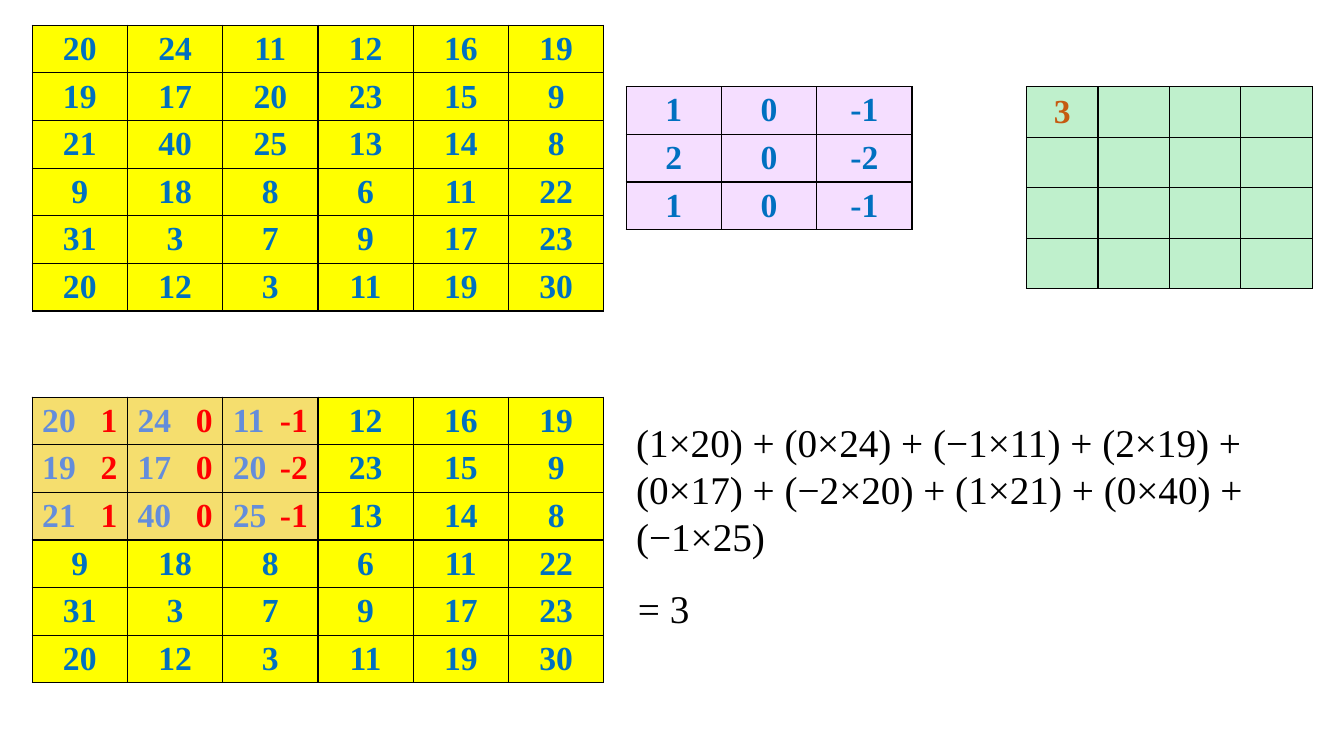
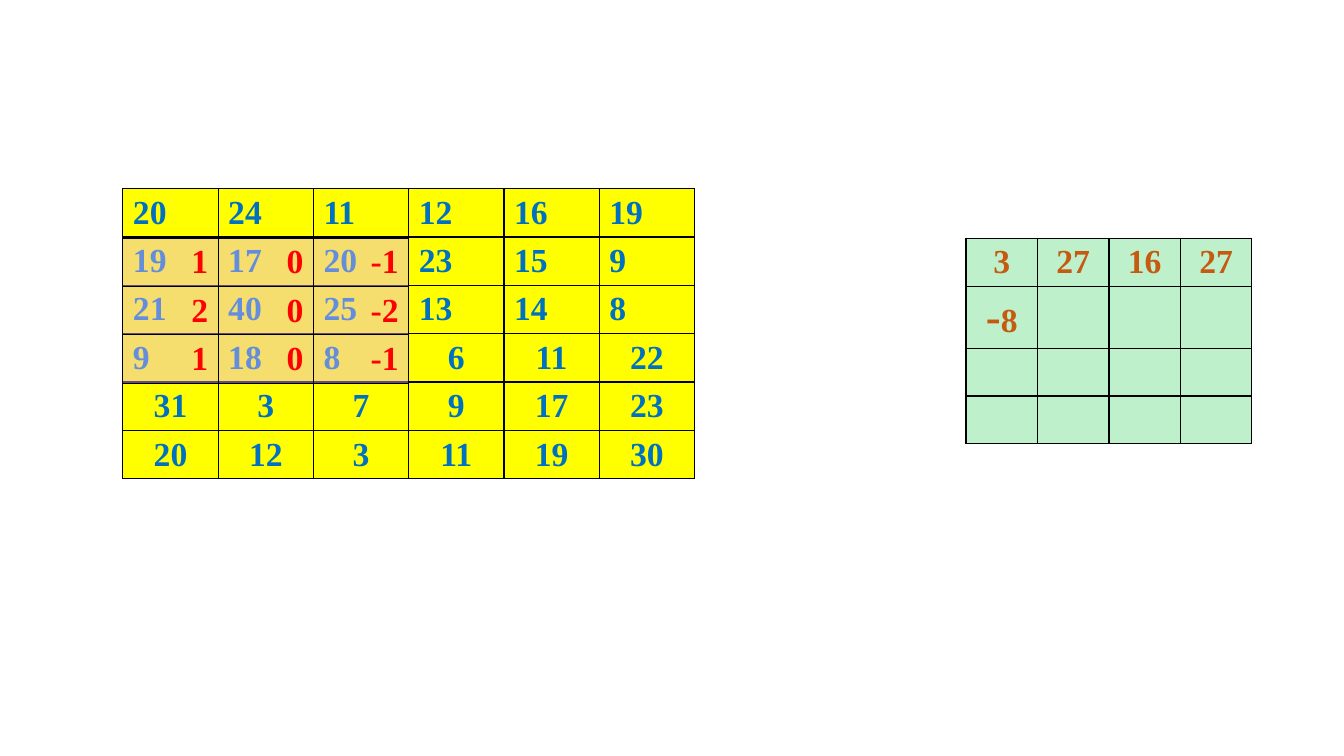
import lxml.etree
import pptx
import pptx.dml.color
import pptx.enum.text
import pptx.oxml.ns
import pptx.util

GRID = pptx.util.Cm(0.6)
ALIGN = pptx.enum.text.PP_ALIGN
COLORS = {
    "image": "FFFF00",
    "kernel": "E8B4FF",
    "result": "6BDE8A",
    "number": "0070C0",
    "weight": "FF0000",
    "answer": "C55A11",
    "line": "000000",
}
BOLD = {"name": "Times New Roman", "size": pptx.util.Pt(24), "bold": True}
PLAIN = {"name": "Times New Roman", "size": pptx.util.Pt(28), "bold": False}
CELL = {
    "margin_top": pptx.util.Inches(0.04),
    "margin_bottom": pptx.util.Inches(0.04),
    "vertical_anchor": pptx.enum.text.MSO_ANCHOR.MIDDLE,
}
IMAGE = [
    [20, 24, 11, 12, 16, 19],
    [19, 17, 20, 23, 15, 9],
    [21, 40, 25, 13, 14, 8],
    [9, 18, 8, 6, 11, 22],
    [31, 3, 7, 9, 17, 23],
    [20, 12, 3, 11, 19, 30],
]
KERNEL = [[1, 0, -1], [2, 0, -2], [1, 0, -1]]
FORMULA = ("(1×20) + (0×24) + (−1×11) + (2×19) + (0×17) + (−2×20) + "
           "(1×21) + (0×40) + (−1×25)")


def units(count):
    return round(count * GRID)


def rgb(key):
    return pptx.dml.color.RGBColor.from_string(COLORS[key])


def apply(target, values):
    for name, value in values.items():
        setattr(target, name, value)


def add_span(para, text, color, values):
    span = para.add_run()
    span.text = text
    apply(span.font, values)
    span.font.color.rgb = rgb(color)
    return span


def paint_cell(cell, fill, alpha):
    qn = pptx.oxml.ns.qn
    cell.fill.solid()
    cell.fill.fore_color.rgb = rgb(fill)
    properties = cell._tc.get_or_add_tcPr()
    if alpha < 100:
        color = properties.find(qn("a:solidFill")).find(qn("a:srgbClr"))
        lxml.etree.SubElement(color, qn("a:alpha"), val=str(alpha * 1000))
    for index, side in enumerate("LRTB"):
        line = properties.makeelement(qn("a:ln" + side), {"w": str(pptx.util.Pt(1))})
        solid = lxml.etree.SubElement(line, qn("a:solidFill"))
        lxml.etree.SubElement(solid, qn("a:srgbClr"), val=COLORS["line"])
        properties.insert(index, line)


def add_matrix(page, left, top, values, fill, color, align, alpha=43, column=4, row=2):
    rows, columns = len(values), len(values[0])
    frame = page.shapes.add_table(rows, columns, units(left), units(top),
                                  units(columns * column), units(rows * row))
    table = frame.table
    apply(table, {"first_row": False, "horz_banding": False})
    for item in table.columns:
        item.width = units(column)
    for item in table.rows:
        item.height = units(row)
    for y, line in enumerate(values):
        for x, value in enumerate(line):
            cell = table.cell(y, x)
            apply(cell, CELL)
            paint_cell(cell, fill, alpha)
            if value is not None:
                para = cell.text_frame.paragraphs[0]
                para.alignment = align(y, x)
                add_span(para, str(value), color, BOLD)
    return table


def add_image(page, left, top, align):
    add_matrix(page, left, top, IMAGE, "image", "number", align, alpha=100)


def add_window(page, left, top):
    add_matrix(page, left, top, KERNEL, "kernel", "weight", lambda y, x: ALIGN.RIGHT)


def add_result(page, left, top, found, row=2):
    values = [[found.get((y, x)) for x in range(4)] for y in range(4)]
    return add_matrix(page, left, top, values, "result", "answer", centred,
                      column=3, row=row)


def add_text(page, left, top, width, height, text):
    box = page.shapes.add_textbox(*map(units, (left, top, width, height)))
    box.text_frame.word_wrap = True
    add_span(box.text_frame.paragraphs[0], text, "line", PLAIN)


def centred(y, x):
    return ALIGN.CENTER


def left_in_window(y, x):
    return ALIGN.LEFT if y < 3 and x < 3 else ALIGN.CENTER


def left_until_window_end(y, x):
    return ALIGN.LEFT if (y, x) < (3, 3) else ALIGN.CENTER


def build_first_step(page):
    add_image(page, 1.35, 1.06, centred)
    add_matrix(page, 26.29, 3.64, KERNEL, "kernel", "number", centred)
    add_image(page, 1.35, 16.68, left_in_window)
    add_window(page, 1.35, 16.68)
    add_text(page, 26.29, 17.36, 28.24, 6.39, FORMULA)
    add_text(page, 26.37, 24.34, 27.8, 2.41, "= 3")
    add_result(page, 43.1, 3.64, {(0, 0): 3}, row=2.12)


def build_second_row(page):
    add_image(page, 5.16, 7.92, left_until_window_end)
    add_window(page, 5.16, 10)
    found = {(0, 0): 3, (0, 1): 27, (0, 2): 16, (0, 3): 27, (1, 0): "-"}
    table = add_result(page, 40.56, 10, found)
    table.rows[1].height = units(2.5)
    para = table.cell(1, 0).text_frame.paragraphs[0]
    para.runs[0].font.size = pptx.util.Pt(32)
    add_span(para, "8", "answer", BOLD)


def main():
    deck = pptx.Presentation()
    deck.slide_width = pptx.util.Inches(13.33)
    deck.slide_height = pptx.util.Inches(7.5)
    for build in (build_first_step, build_second_row):
        build(deck.slides.add_slide(deck.slide_layouts[6]))
    deck.save("out.pptx")


if __name__ == "__main__":
    main()
